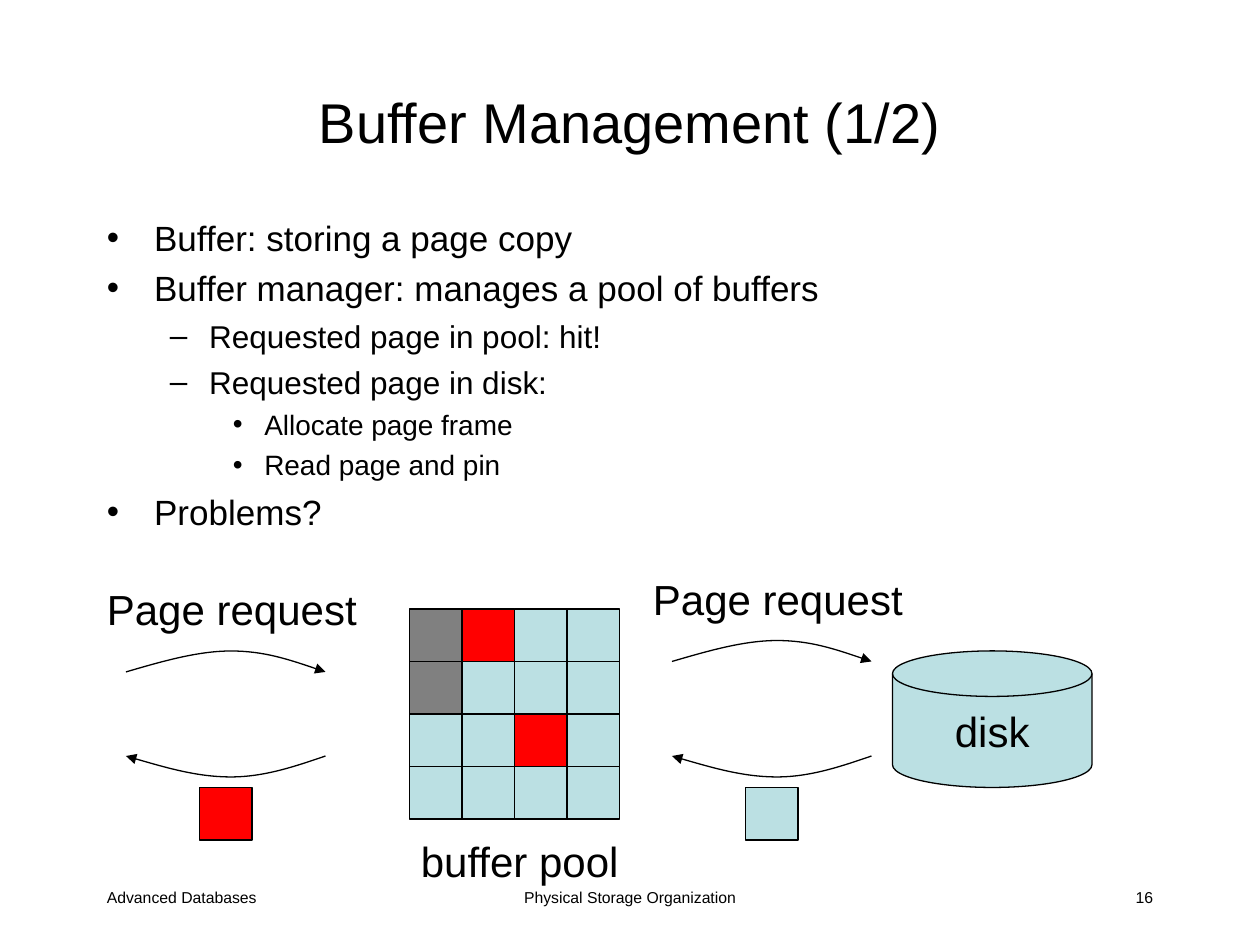
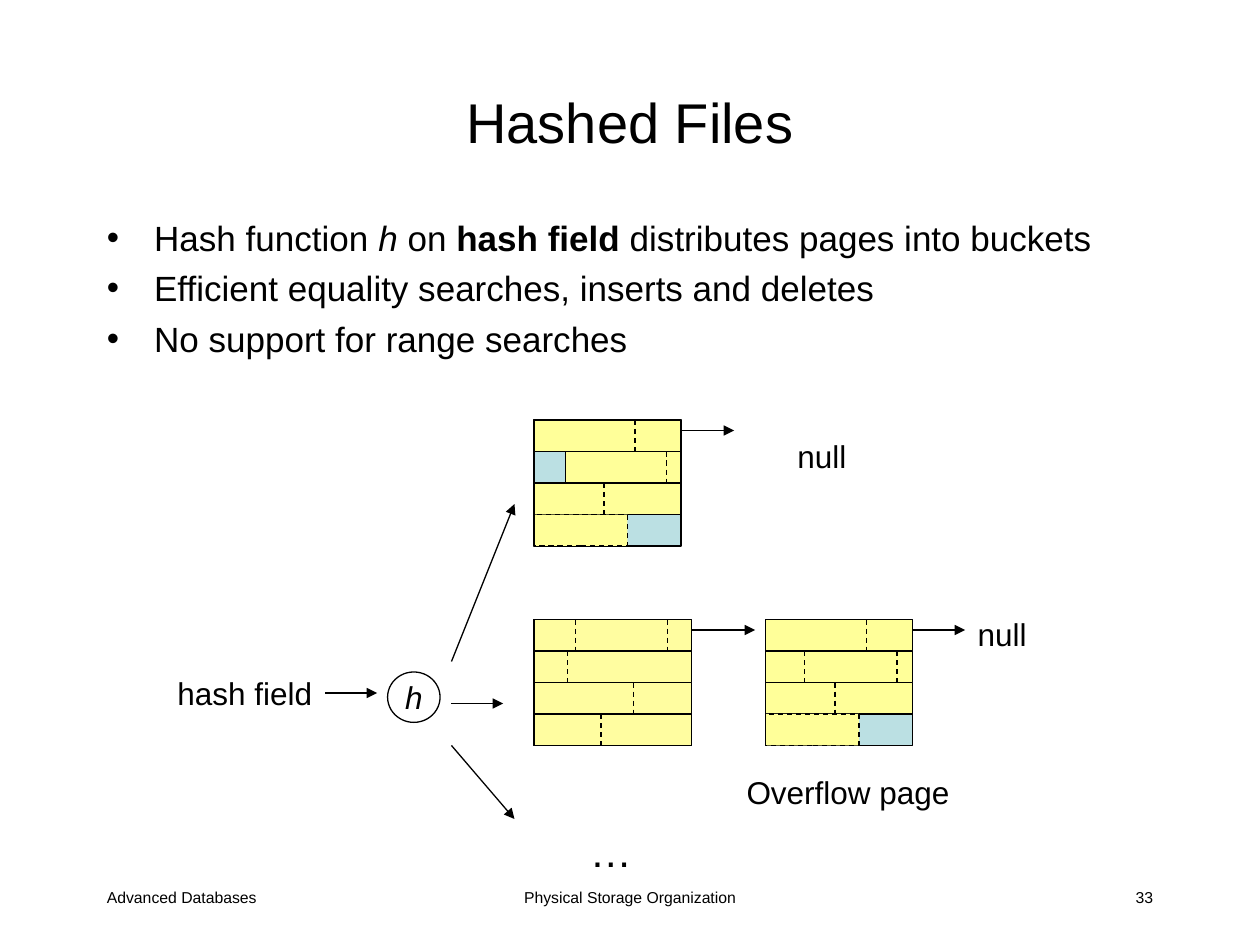
"""Build two database lecture slides: buffer management and hashed files."""
from dataclasses import dataclass

from lxml import etree
from pptx import Presentation
from pptx import util as u
from pptx.dml import color
from pptx.enum import dml, shapes, text
from pptx.oxml import ns


@dataclass(frozen=True)
class Theme:
    font: str = "Arial"
    ink: str = "000000"
    free: str = "BBE0E3"
    used: str = "808080"
    hit: str = "FF0000"
    record: str = "FFFF99"
    full_record: str = "FFFDA0"
    title: int = 32
    levels: tuple = (20, 18, 16)
    diagram: int = 24
    label: int = 18
    footer: int = 9
    line: float = 0.75


THEME = Theme()
LEFT, CENTER, RIGHT = text.PP_ALIGN.LEFT, text.PP_ALIGN.CENTER, text.PP_ALIGN.RIGHT
TOP, MIDDLE = text.MSO_ANCHOR.TOP, text.MSO_ANCHOR.MIDDLE
ITALIC, BOLD = {"italic": True}, {"bold": True}

FOOTERS = [("Advanced Databases", 54, 150, LEFT), ("Physical Storage Organization", 246, 228, CENTER)]
INDENTS = [(27, 27, "•"), (58.5, 22.5, "–"), (90, 18, "•")]

BUFFER_TITLE, BUFFER_NUMBER = "Buffer Management (1/2)", "16"
BUFFER_BULLETS = [
    (0, ["Buffer: storing a page copy"]),
    (0, ["Buffer manager: manages a pool of buffers"]),
    (1, ["Requested page in pool: hit!"]),
    (1, ["Requested page in disk:"]),
    (2, ["Allocate page frame"]),
    (2, ["Read page and pin"]),
    (0, ["Problems?"]),
]
FRAME = 30
POOL_LEFT, POOL_TOP = 234, 348
POOL = ["UHFF", "UFFF", "FFHF", "FFFF"]
FRAME_COLORS = {"U": THEME.used, "H": THEME.hit, "F": THEME.free}
EXCHANGES = [(72, 372, THEME.hit), (384, 366, THEME.free)]
RESPONSE_TOP = 432
CURVE_HEIGHT = 12
CURVE = [(0, 12), (20.5, 6), (41, 0), (60, 0), (79, 0), (96.5, 6), (114, 12)]

HASH_TITLE, HASH_NUMBER = "Hashed Files", "33"
HASH_BULLETS = [
    (0, ["Hash function ", ("h ", ITALIC), "on ", ("hash field", BOLD), " distributes pages into buckets"]),
    (0, ["Efficient equality searches, inserts and deletes"]),
    (0, ["No support for range searches"]),
]
ROW = 18
BUCKETS = [
    {"left": 305.2, "top": 240, "width": 84, "fill": THEME.record,
     "rows": [(0, 84, [57.6]), (18, 84, [75.6]), (0, 84, [40]), (0, 53.3, [])]},
    {"left": 305.2, "top": 354, "width": 90, "fill": THEME.full_record,
     "rows": [(0, 90, [23.8, 76.2]), (0, 90, [19.2]), (0, 90, [57]), (0, 90, [38.2])]},
    {"left": 437.6, "top": 354, "width": 84, "fill": THEME.record,
     "rows": [(0, 84, [57.6]), (0, 84, [22, 75]), (0, 84, [39.6]), (0, 53.3, [])]},
]
ARROWS = [
    ((186, 396), (215.5, 396)),
    ((258, 378), (294, 288)),
    ((258, 402), (287.5, 402)),
    ((258, 426), (294, 468)),
    ((389.2, 246), (419.5, 246)),
    ((395.2, 360), (431.5, 360)),
    ((521.6, 360), (551.5, 360)),
]
HASH_LABELS = [
    ("null", 448.5, 246, 42.5, THEME.label),
    ("null", 551.5, 348, 42.5, THEME.label),
    ("hash field", 94.3, 381.5, 91.5, THEME.label),
    ("Overflow page", 419.5, 438, 142.5, THEME.label),
    ("…", 330, 468, 38, THEME.diagram),
]


def rgb(value):
    return color.RGBColor.from_string(value)


def assign(target, **values):
    for name, value in values.items():
        setattr(target, name, value)


def add_runs(paragraph, parts, size):
    for part in parts:
        words, extra = (part, {}) if isinstance(part, str) else part
        run = paragraph.add_run()
        run.text = words
        assign(run.font, name=THEME.font, size=u.Pt(size), **extra)
        run.font.color.rgb = rgb(THEME.ink)


def set_frame(shape, anchor, wrap):
    frame = shape.text_frame
    assign(frame, vertical_anchor=anchor, word_wrap=wrap, margin_left=u.Pt(7.2),
           margin_right=u.Pt(7.2), margin_top=u.Pt(3.6), margin_bottom=u.Pt(3.6))
    return frame


def add_text(slide, box, parts, size, align=LEFT, anchor=TOP, wrap=True):
    shape = slide.shapes.add_textbox(*map(u.Pt, box))
    paragraph = set_frame(shape, anchor, wrap).paragraphs[0]
    paragraph.alignment = align
    add_runs(paragraph, parts, size)


def set_line(shape, dashed=False, arrow=None):
    shape.line.color.rgb = rgb(THEME.ink)
    shape.line.width = u.Pt(THEME.line)
    if dashed:
        shape.line.dash_style = dml.MSO_LINE.DASH
    if arrow:
        outline = shape.element.spPr.find(ns.qn("a:ln"))
        etree.SubElement(outline, ns.qn(f"a:{arrow}End"), type="triangle")


def add_shape(slide, kind, box, fill=None, dashed=False, parts=(), size=THEME.label):
    shape = slide.shapes.add_shape(kind, *map(u.Pt, box))
    shape.shadow.inherit = False
    if fill:
        shape.fill.solid()
        shape.fill.fore_color.rgb = rgb(fill)
    else:
        shape.fill.background()
    set_line(shape, dashed)
    if parts:
        paragraph = set_frame(shape, MIDDLE, False).paragraphs[0]
        paragraph.alignment = CENTER
        add_runs(paragraph, parts, size)


def add_rectangle(slide, box, fill, dashed=False):
    add_shape(slide, shapes.MSO_SHAPE.RECTANGLE, box, fill, dashed)


def add_line(slide, start, end, dashed=False, arrow=None):
    connector = slide.shapes.add_connector(shapes.MSO_CONNECTOR.STRAIGHT, *map(u.Pt, (*start, *end)))
    set_line(connector, dashed, arrow)
    etree.SubElement(connector.element.spPr, ns.qn("a:effectLst"))


def add_curve(slide, left, top, arrow, sagging=False):
    points = [(u.Pt(left + x), u.Pt(top + (CURVE_HEIGHT - y if sagging else y))) for x, y in CURVE]
    builder = slide.shapes.build_freeform(*points[0])
    builder.add_line_segments(points[1:], close=False)
    shape = builder.convert_to_shape()
    shape.shadow.inherit = False
    shape.fill.background()
    set_line(shape, arrow=arrow)
    outline = next(shape.element.iter(ns.qn("a:path")))
    segments = outline.findall(ns.qn("a:lnTo"))
    for first in range(0, len(segments), 3):
        bezier = etree.SubElement(outline, ns.qn("a:cubicBezTo"))
        for segment in segments[first:first + 3]:
            bezier.append(segment[0])
            outline.remove(segment)


def add_bullets(slide, bullets):
    shape = slide.shapes.add_textbox(*map(u.Pt, (54, 120, 612, 372)))
    frame = set_frame(shape, TOP, True)
    for index, (level, parts) in enumerate(bullets):
        paragraph = frame.add_paragraph() if index else frame.paragraphs[0]
        size = THEME.levels[level]
        margin, hanging, mark = INDENTS[level]
        assign(paragraph, level=level, space_before=u.Pt(size / 4))
        properties = paragraph._p.get_or_add_pPr()
        properties.set("marL", str(u.Pt(margin)))
        properties.set("indent", str(-u.Pt(hanging)))
        etree.SubElement(properties, ns.qn("a:buFont"), typeface=THEME.font)
        etree.SubElement(properties, ns.qn("a:buChar"), char=mark)
        add_runs(paragraph, parts, size)


def start_slide(presentation, title, number, bullets):
    slide = presentation.slides.add_slide(presentation.slide_layouts[6])
    for words, left, width, align in FOOTERS + [(number, 516, 150, RIGHT)]:
        add_text(slide, (left, 504, width, 24), [words], THEME.footer, align)
    add_text(slide, (54, 24, 612, 90), [title], THEME.title, CENTER, MIDDLE)
    add_bullets(slide, bullets)
    return slide


def add_bucket(slide, left, top, width, fill, rows):
    add_rectangle(slide, (left, top, width, ROW * len(rows)), THEME.free)
    for index, (start, end, fields) in enumerate(rows):
        row_top = top + ROW * index
        row_bottom = row_top + ROW
        partial = end < width
        add_rectangle(slide, (left + start, row_top, end - start, ROW), fill, partial)
        if partial:
            add_line(slide, (left, row_top), (left, row_bottom))
        for field in fields:
            add_line(slide, (left + field, row_top), (left + field, row_bottom), dashed=True)


def build_buffer_slide(presentation):
    slide = start_slide(presentation, BUFFER_TITLE, BUFFER_NUMBER, BUFFER_BULLETS)
    add_shape(slide, shapes.MSO_SHAPE.FLOWCHART_MAGNETIC_DISK, (510, 372, 114, 78), THEME.free,
              parts=["disk"], size=THEME.diagram)
    for row, states in enumerate(POOL):
        for column, state in enumerate(states):
            box = (POOL_LEFT + column * FRAME, POOL_TOP + row * FRAME, FRAME, FRAME)
            add_rectangle(slide, box, FRAME_COLORS[state])
    add_text(slide, (204, 474, 186, 36), ["buffer pool"], THEME.diagram, CENTER, MIDDLE, False)
    for left, top, page in EXCHANGES:
        add_text(slide, (left - 18, top - 42, 157, 36), ["Page request"], THEME.diagram, wrap=False)
        add_curve(slide, left, top, "tail")
        add_curve(slide, left, RESPONSE_TOP, "head", sagging=True)
        add_rectangle(slide, (left + 42, RESPONSE_TOP + 18, FRAME, FRAME), page)


def build_hash_slide(presentation):
    slide = start_slide(presentation, HASH_TITLE, HASH_NUMBER, HASH_BULLETS)
    for bucket in BUCKETS:
        add_bucket(slide, **bucket)
    add_shape(slide, shapes.MSO_SHAPE.OVAL, (221.5, 384, 30, 28.8), parts=[("h", ITALIC)])
    for start, end in ARROWS:
        add_line(slide, start, end, arrow="tail")
    for words, left, top, width, size in HASH_LABELS:
        add_text(slide, (left, top, width, size * 1.2 + 7.2), [words], size, wrap=False)


def main():
    presentation = Presentation()
    assign(presentation, slide_width=u.Pt(720), slide_height=u.Pt(540))
    build_buffer_slide(presentation)
    build_hash_slide(presentation)
    presentation.save("out.pptx")


if __name__ == "__main__":
    main()
